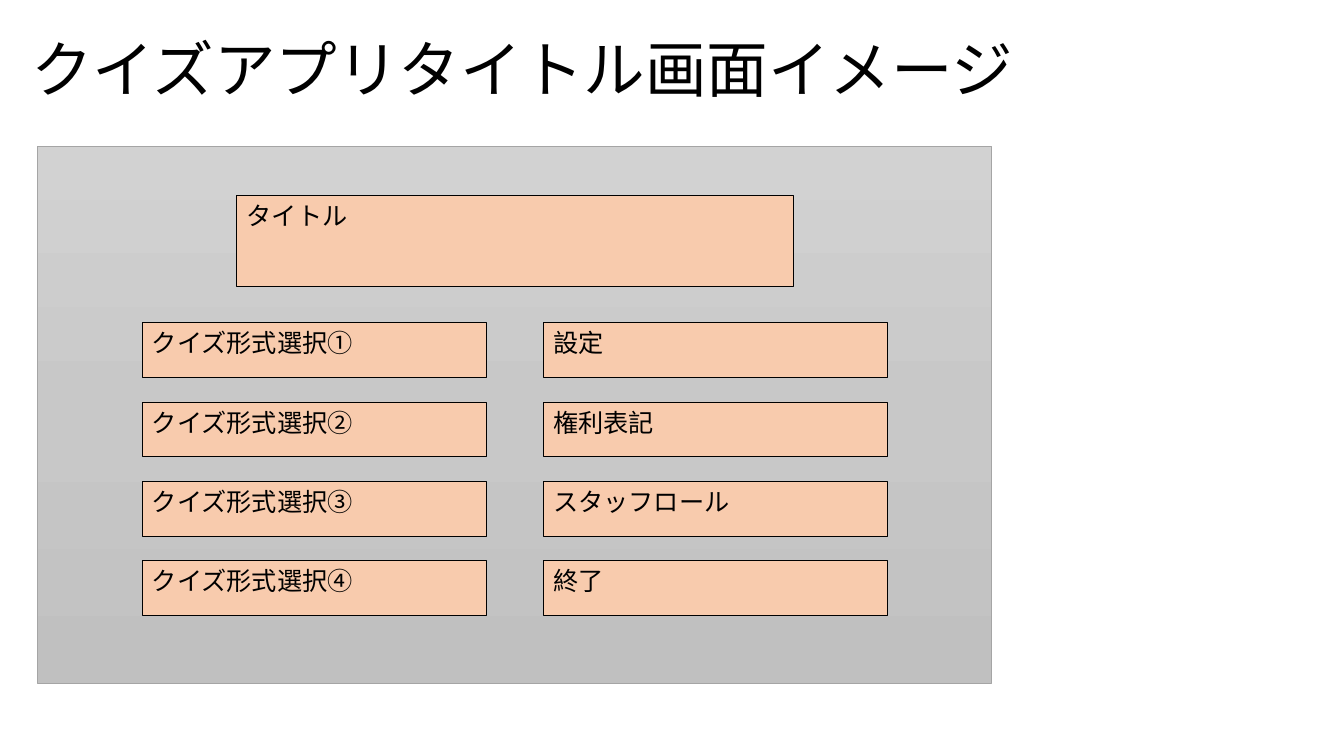
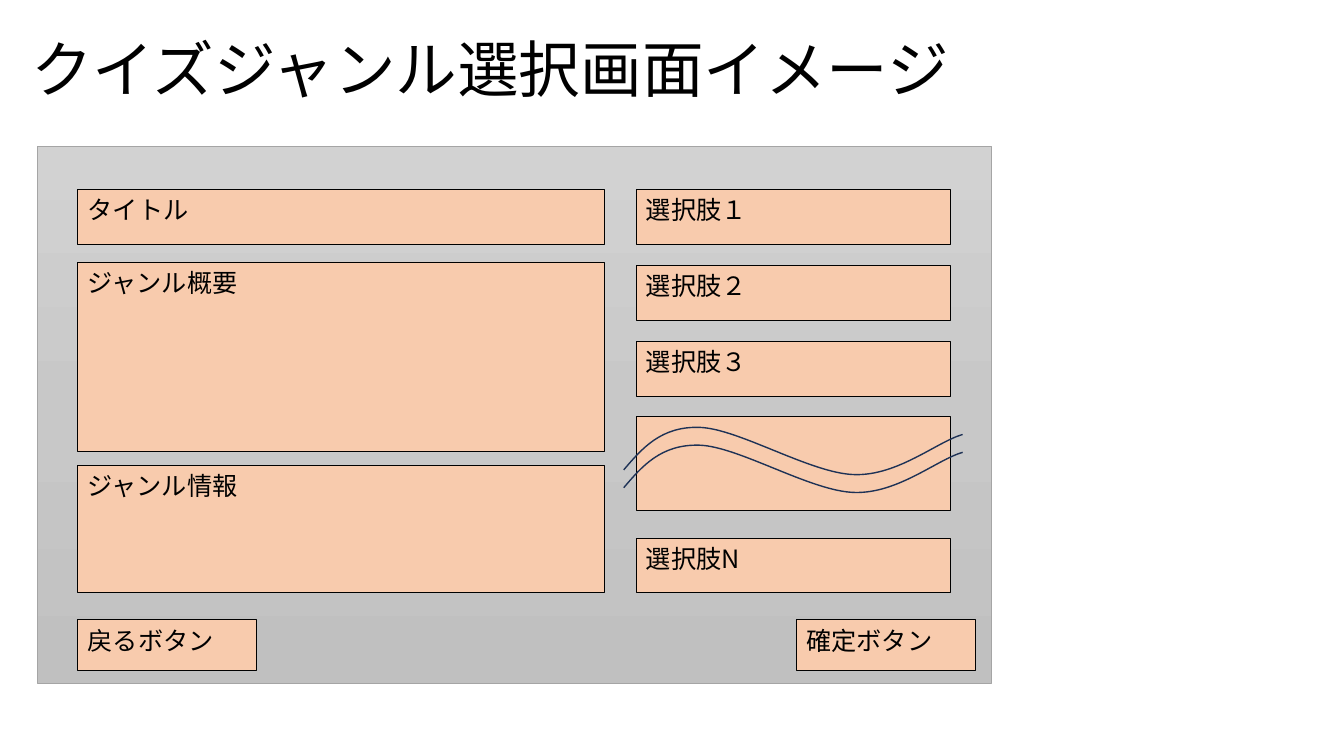
from copy import deepcopy

from lxml import etree
from pptx import Presentation
from pptx.dml.color import RGBColor
from pptx.enum.shapes import MSO_SHAPE
from pptx.enum.text import MSO_ANCHOR, MSO_AUTO_SIZE, PP_ALIGN
from pptx.oxml.ns import qn
from pptx.util import Cm, Pt

RECTANGLE = MSO_SHAPE.RECTANGLE
TOP, MIDDLE = MSO_ANCHOR.TOP, MSO_ANCHOR.MIDDLE
LEFT = PP_ALIGN.LEFT
NO_AUTOFIT = MSO_AUTO_SIZE.NONE

FONT = "Noto Sans CJK JP"
BLACK = RGBColor(0x00, 0x00, 0x00)
PEACH = RGBColor(0xF8, 0xCB, 0xAD)
PANEL_LINE = RGBColor(0xA5, 0xA5, 0xA5)
PANEL_STOPS = [
    (0, RGBColor(0xD2, 0xD2, 0xD2)),
    (0.5, RGBColor(0xC8, 0xC8, 0xC8)),
    (1, RGBColor(0xC0, 0xC0, 0xC0)),
]
NAVY = RGBColor(0x1E, 0x32, 0x56)

ROW_HEIGHT = 1.38


def write_text(text_frame, text, size, anchor):
    """Fill a frame with one left-aligned paragraph in the shared Japanese font."""
    text_frame.text = text
    text_frame.vertical_anchor = anchor
    paragraph = text_frame.paragraphs[0]
    paragraph.alignment = LEFT
    paragraph.font.size = Pt(size)
    paragraph.font.name = FONT
    paragraph.font.color.rgb = BLACK
    properties = paragraph._p.pPr.find(qn("a:defRPr"))
    etree.SubElement(properties, qn("a:ea"), typeface=FONT)
    return paragraph


def add_rectangle(slide, left, top, width, height, line_color):
    shape = slide.shapes.add_shape(RECTANGLE, Cm(left), Cm(top), Cm(width), Cm(height))
    shape.shadow.inherit = False
    shape.line.color.rgb = line_color
    shape.line.width = Pt(0.5)
    return shape


# Each box is text, left, top, width, height in centimetres.
title_screen_boxes = [("タイトル", 5.97, 4.93, 14.02, 2.3)]
menu_columns = [
    (3.58, ["クイズ形式選択①", "クイズ形式選択②", "クイズ形式選択③", "クイズ形式選択④"]),
    (13.69, ["設定", "権利表記", "スタッフロール", "終了"]),
]
for left, labels in menu_columns:
    for row, label in enumerate(labels):
        title_screen_boxes.append((label, left, 8.13 + 2 * row, 8.68, ROW_HEIGHT))

genre_screen_boxes = [
    ("タイトル", 1.96, 4.78, 13.26, ROW_HEIGHT),
    ("ジャンル概要", 1.96, 6.6, 13.26, 4.78),
    ("ジャンル情報", 1.96, 11.73, 13.26, 3.2),
    ("戻るボタン", 1.96, 15.62, 4.5, 1.28),
    ("確定ボタン", 20.07, 15.62, 4.5, 1.28),
    ("", 16.03, 10.49, 7.92, 2.37),
    ("選択肢N", 16.03, 13.56, 7.92, ROW_HEIGHT),
]
for row, label in enumerate(["選択肢１", "選択肢２", "選択肢３"]):
    genre_screen_boxes.append((label, 16.03, 4.78 + 1.91 * row, 7.92, ROW_HEIGHT))

screens = [
    ("クイズアプリタイトル画面イメージ", title_screen_boxes),
    ("クイズジャンル選択画面イメージ", genre_screen_boxes),
]

presentation = Presentation()
presentation.slide_width = Cm(33.87)
presentation.slide_height = Cm(19.05)
title_only_layout = presentation.slide_layouts[5]

for heading, boxes in screens:
    slide = presentation.slides.add_slide(title_only_layout)
    title = slide.shapes.title
    title.left, title.top, title.width, title.height = Cm(0.53), Cm(0), Cm(29.21), Cm(3.68)
    title.text_frame.auto_size = NO_AUTOFIT
    write_text(title.text_frame, heading, 44, MIDDLE).line_spacing = 0.9

    panel = add_rectangle(slide, 0.94, 3.68, 24.05, 13.54, PANEL_LINE)
    panel.fill.gradient()
    panel.fill.gradient_angle = 270
    stop_list = panel._element.spPr.find(qn("a:gradFill")).find(qn("a:gsLst"))
    stop_list.insert(1, deepcopy(stop_list[0]))
    for stop, (position, color) in zip(panel.fill.gradient_stops, PANEL_STOPS):
        stop.position = position
        stop.color.rgb = color

    for label, left, top, width, height in boxes:
        box = add_rectangle(slide, left, top, width, height, BLACK)
        box.fill.solid()
        box.fill.fore_color.rgb = PEACH
        if label:
            write_text(box.text_frame, label, 18, TOP)

# The double wave over the last slide's blank box marks the omitted choices.
# After the start point, every three points form one Bézier segment.
wave_points = [
    (15.72, 11.84),
    (16.18, 11.3), (16.66, 10.74), (17.63, 10.77),
    (18.62, 10.8), (20.45, 11.94), (21.54, 11.96),
    (22.63, 11.99), (23.62, 11.13), (24.26, 10.95),
]
waves = []
for offset in (0, 0.45):
    start, *points = [(Cm(x), Cm(y + offset)) for x, y in wave_points]
    builder = slide.shapes.build_freeform(*start)
    builder.add_line_segments(points, close=False)
    wave = builder.convert_to_shape()
    wave.shadow.inherit = False
    wave.fill.background()
    wave.line.color.rgb = NAVY
    wave.line.width = Pt(1)
    outline = next(wave._element.iter(qn("a:path")))
    segments = outline.findall(qn("a:lnTo"))
    for first in range(0, len(segments), 3):
        curve = etree.SubElement(outline, qn("a:cubicBezTo"))
        for segment in segments[first:first + 3]:
            curve.append(segment[0])
            outline.remove(segment)
    waves.append(wave)
slide.shapes.add_group_shape(waves)

presentation.save("out.pptx")
